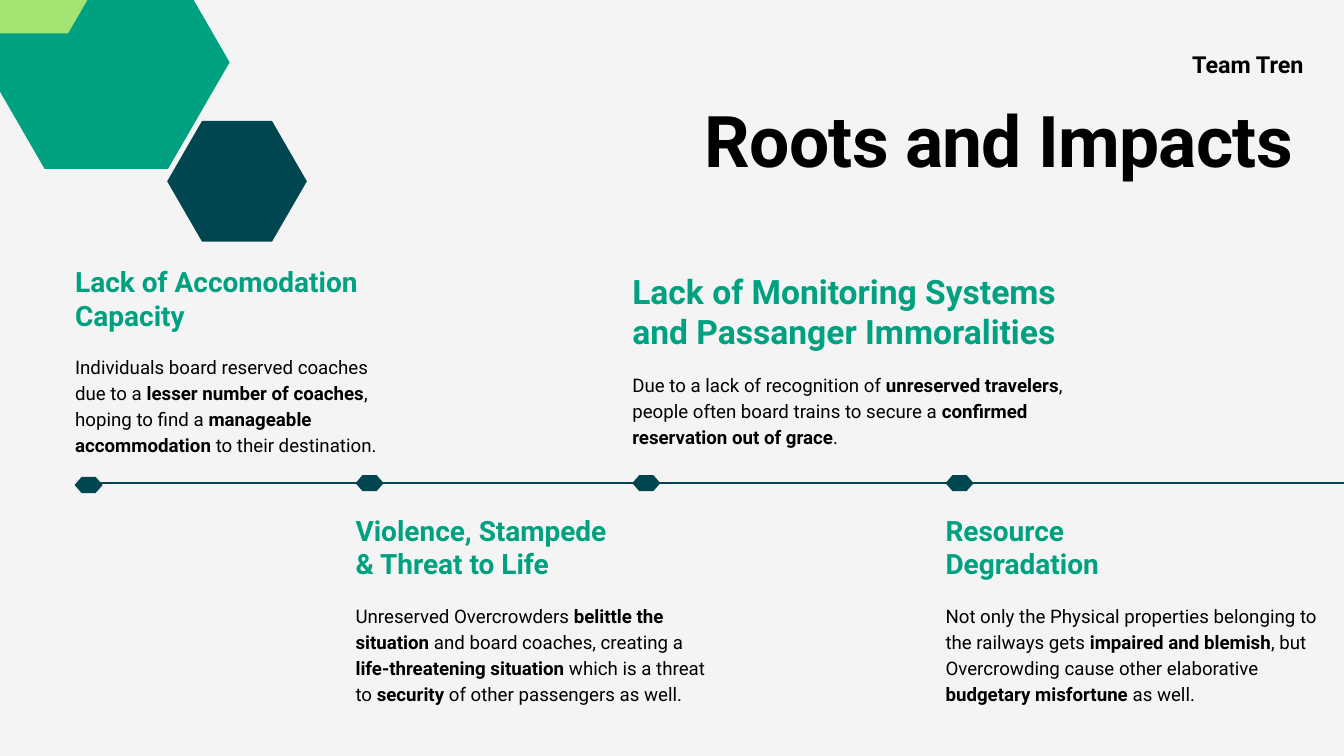
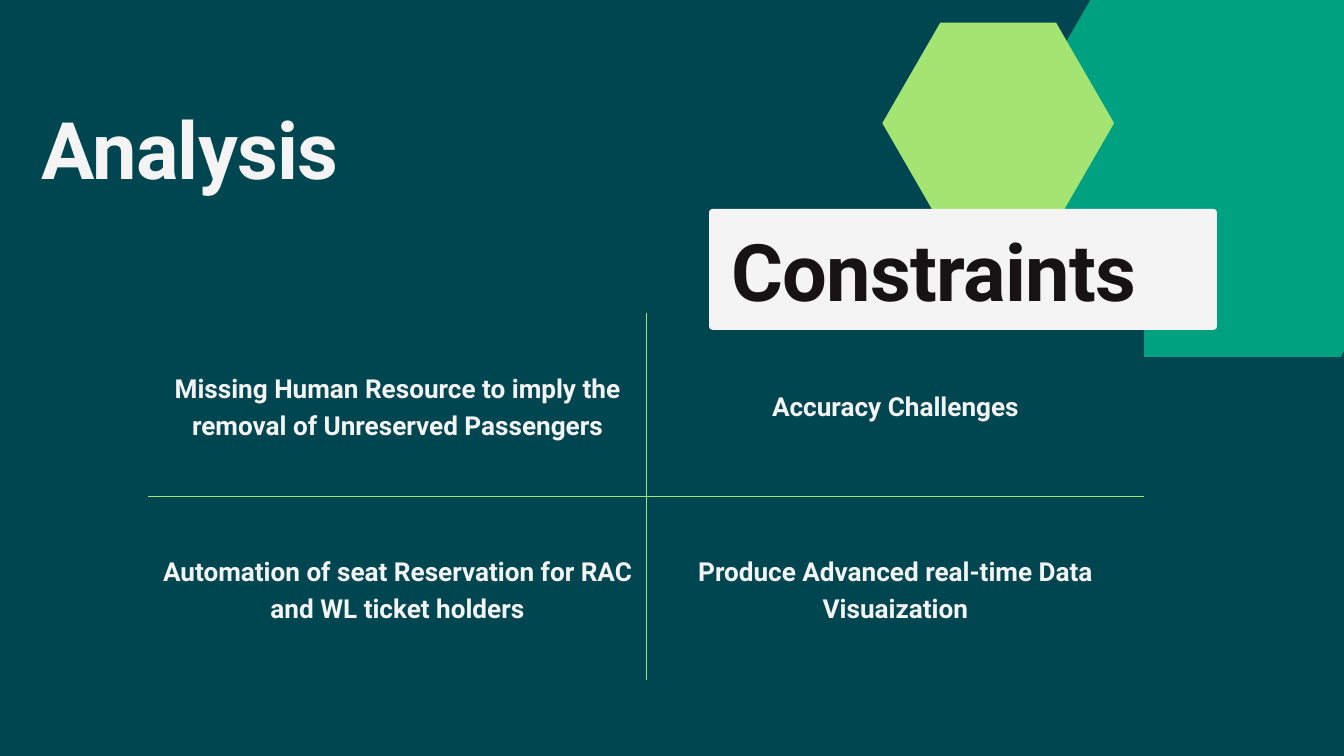
from lxml import etree
from pptx import Presentation
from pptx.dml.color import RGBColor
from pptx.enum.shapes import MSO_CONNECTOR, MSO_SHAPE
from pptx.enum.text import MSO_ANCHOR, MSO_AUTO_SIZE, PP_ALIGN
from pptx.oxml.ns import qn
from pptx.util import Cm, Pt

HEXAGON, ROUNDED = MSO_SHAPE.HEXAGON, MSO_SHAPE.ROUNDED_RECTANGLE
STRAIGHT = MSO_CONNECTOR.STRAIGHT
CENTER, MIDDLE = PP_ALIGN.CENTER, MSO_ANCHOR.MIDDLE
GROW = MSO_AUTO_SIZE.SHAPE_TO_FIT_TEXT

BLACK = RGBColor(0x00, 0x00, 0x00)
INK = RGBColor(0x17, 0x13, 0x15)
PAPER = RGBColor(0xF4, 0xF4, 0xF4)
PETROL = RGBColor(0x00, 0x46, 0x51)
GREEN = RGBColor(0x00, 0xA1, 0x81)
LIME = RGBColor(0xA4, 0xE4, 0x73)

FONT = "Roboto"
MARGINS = ("margin_left", "margin_top", "margin_right", "margin_bottom")
TITLE_TRACKING = "-80"


def write(frame, lines, size, spacing, color, bold=True, align=None, tracking=None):
    """Write one paragraph per line; text between ** marks switches weight."""
    for number, line in enumerate(lines):
        paragraph = frame.paragraphs[0] if number == 0 else frame.add_paragraph()
        paragraph.line_spacing = Pt(spacing)
        paragraph.alignment = align
        for part, words in enumerate(line.split("**")):
            run = paragraph.add_run()
            run.text = words
            style = {"name": FONT, "size": Pt(size), "bold": bold != (part % 2 == 1)}
            for attribute, value in style.items():
                setattr(run.font, attribute, value)
            run.font.color.rgb = color
            if tracking:
                run.font._element.set("spc", tracking)


def add_text(slide, box, lines, *style, **options):
    frame = slide.shapes.add_textbox(*map(Cm, box)).text_frame
    frame_format = {"word_wrap": True, "auto_size": GROW, **dict.fromkeys(MARGINS, 0)}
    for attribute, value in frame_format.items():
        setattr(frame, attribute, value)
    write(frame, lines, *style, **options)


prs = Presentation()
prs.slide_width, prs.slide_height = Cm(50.8), Cm(28.58)
blank = prs.slide_layouts[6]
roots, analysis = (prs.slides.add_slide(blank) for _ in range(2))
for slide, background in ((roots, PAPER), (analysis, PETROL)):
    slide.background.fill.solid()
    slide.background.fill.fore_color.rgb = background

# Timeline line
timeline = roots.shapes.add_connector(STRAIGHT, Cm(3.53), Cm(18.26), Cm(50.8), Cm(18.26))
timeline.line.color.rgb = PETROL
timeline.line.width = Pt(1.5)
etree.SubElement(timeline._element.spPr, qn("a:effectLst"))

# Timeline markers, then the decorative hexagons of both slides
marker_places = [(2.82, 18.03), (13.44, 17.96), (23.9, 17.96), (35.74, 17.96)]
solids = [(roots, HEXAGON, (left, top, 1.06, 0.61), PETROL) for left, top in marker_places]
solids += [
    (roots, HEXAGON, (6.32, 4.57, 5.28, 4.57), PETROL),
    (roots, HEXAGON, (-0.64, -1.68, 9.32, 8.07), GREEN),
    (roots, HEXAGON, (-1.55, -3.51, 5.5, 4.77), LIME),
    (analysis, HEXAGON, (37.74, -1.45, 17.25, 14.94), GREEN),
    (analysis, HEXAGON, (33.35, 0.86, 8.76, 7.59), LIME),
]

# Constraint grid
grid = analysis.shapes.add_table(2, 2, Cm(5.61), Cm(11.84), Cm(37.64), Cm(13.87))
constraints = [
    ["Missing Human Resource to imply the removal of Unreserved Passengers", "Accuracy Challenges"],
    ["Automation of seat Reservation for RAC and WL ticket holders",
     "Produce Advanced real-time Data Visuaization"],
]
grid.table.first_row = grid.table.horz_banding = False
for row, texts in enumerate(constraints):
    for column, text in enumerate(texts):
        cell = grid.table.cell(row, column)
        for margin in MARGINS:
            setattr(cell, margin, Cm(0.53))
        cell.vertical_anchor = MIDDLE
        write(cell.text_frame, [text], 28, 39.2, PAPER, align=CENTER)
        inner_sides = {"lnL": column == 1, "lnR": column == 0, "lnT": row == 1, "lnB": row == 0}
        for side, is_inner in inner_sides.items():
            border = etree.SubElement(cell._tc.get_or_add_tcPr(), qn(f"a:{side}"))
            border.set("w", str(Pt(0.75) if is_inner else 0))
            if is_inner:
                fill = etree.SubElement(border, qn("a:solidFill"))
                etree.SubElement(fill, qn("a:srgbClr")).set("val", str(LIME))
            else:
                etree.SubElement(border, qn("a:noFill"))
        cell.fill.solid()
        cell.fill.fore_color.rgb = PETROL

# The title card overlaps the lime hexagon, so it comes last
solids.append((analysis, ROUNDED, (26.8, 7.9, 19.2, 4.57), PAPER))
for slide, kind, box, color in solids:
    solid = slide.shapes.add_shape(kind, *map(Cm, box))
    width, height = box[2:]
    solid.adjustments[0] = width / 4 / height if kind == HEXAGON else 0.03
    solid.shadow.inherit = False
    solid.fill.solid()
    solid.fill.fore_color.rgb = color
    solid.line.fill.background()
# Keep the grid above the hexagons and below the card
analysis.shapes[-1]._element.addprevious(grid._element)

# Timeline entries: left, width, heading top, body top, heading size, heading, body
entries = [
    (2.84, 11.89, 10.01, 13.31, 30, ["Lack of Accomodation Capacity"],
     "Individuals board reserved coaches due to a **lesser number of coaches**, "
     "hoping to find a **manageable accommodation **to their destination."),
    (13.44, 13.72, 19.41, 22.71, 30, ["Violence, Stampede", "& Threat to Life"],
     "Unreserved Overcrowders **belittle the situation** and board coaches, creating a "
     "**life-threatening situation** which is a threat to **security** of other "
     "passengers as well."),
    (35.74, 14.25, 19.41, 22.71, 30, ["Resource", "Degradation"],
     "Not only the Physical properties belonging to the railways gets **impaired and "
     "blemish**, but Overcrowding cause other elaborative **budgetary misfortune** as well."),
    (23.9, 16.87, 10.24, 14, 36, ["Lack of Monitoring Systems and Passanger Immoralities"],
     "Due to a lack of recognition of **unreserved travelers**, people often board trains "
     "to secure a **confirmed reservation out of grace**."),
]
for left, width, heading_top, body_top, size, heading, body in entries:
    add_text(roots, (left, heading_top, width, size * 0.085), heading, size, size * 1.2, GREEN)
    add_text(roots, (left, body_top, width, 3.89), [body], 20, 28, BLACK, bold=False)

# Titles
add_text(roots, (45.06, 1.73, 9.37, 1.14), ["Team Tren"], 25, 35, BLACK)
titles = [
    (roots, (26.64, 3.66, 23.37, 3.2), "Roots and Impacts", 76.4, 91.6, BLACK),
    (analysis, (27.64, 8.41, 19.2, 3.58), "Constraints", 85, 102, INK),
    (analysis, (1.57, 3.78, 19.2, 3.58), "Analysis", 85, 102, PAPER),
]
for slide, box, title, size, spacing, color in titles:
    add_text(slide, box, [title], size, spacing, color, tracking=TITLE_TRACKING)

prs.save("out.pptx")
